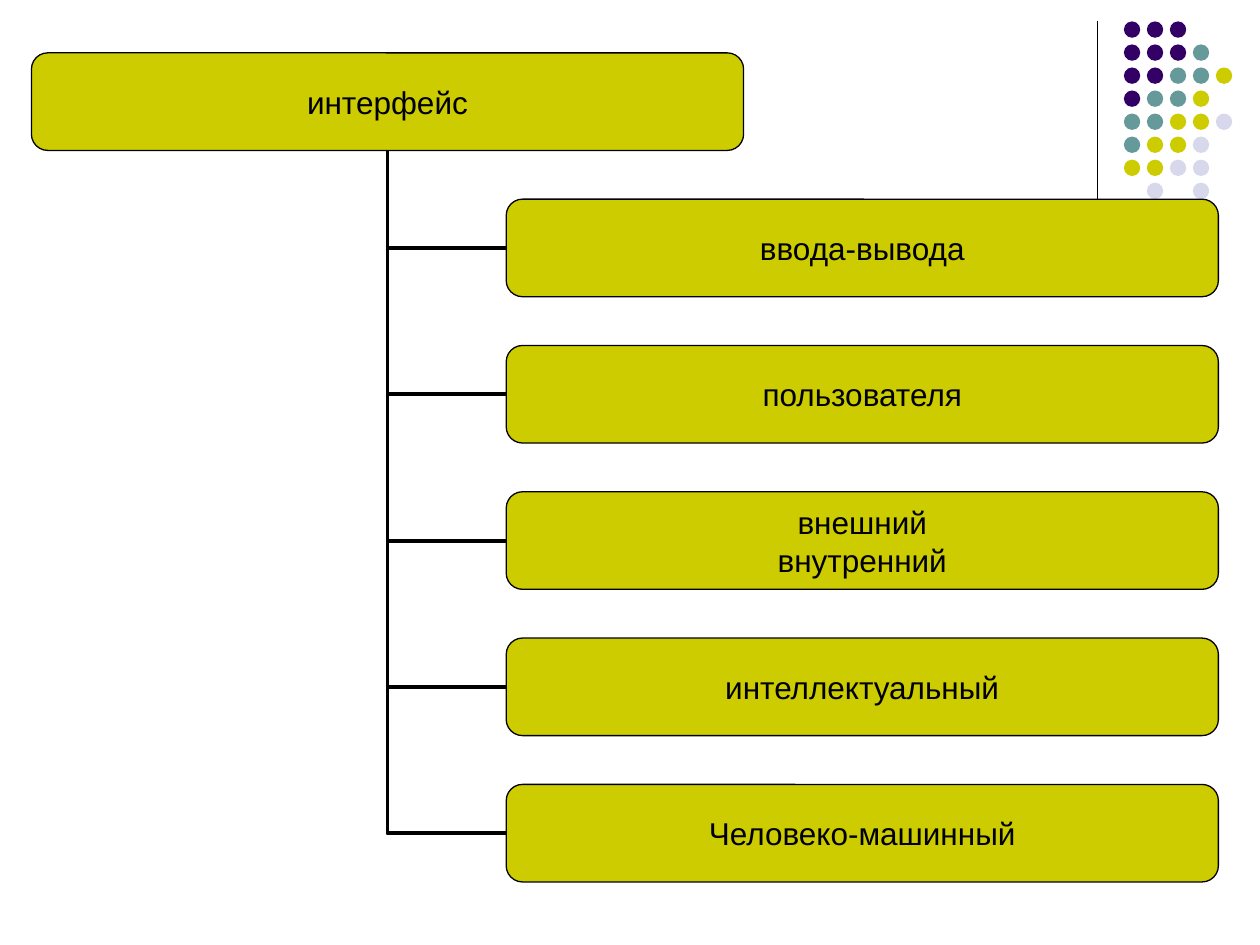
from dataclasses import dataclass

from pptx import Presentation
from pptx.dml.color import RGBColor
from pptx.enum.shapes import MSO_CONNECTOR, MSO_SHAPE
from pptx.enum.text import MSO_ANCHOR, PP_ALIGN
from pptx.oxml.ns import qn
from pptx.oxml.xmlchemy import OxmlElement
from pptx.util import Inches, Pt


@dataclass(frozen=True)
class Theme:
    ink: RGBColor = RGBColor.from_string("000000")
    purple: RGBColor = RGBColor.from_string("330066")
    teal: RGBColor = RGBColor.from_string("669999")
    olive: RGBColor = RGBColor.from_string("CCCC00")
    lavender: RGBColor = RGBColor.from_string("D8D8EC")
    font: str = "Arial"
    label: Pt = Pt(18)
    outline: Pt = Pt(0.75)
    branch: Pt = Pt(2.25)


THEME = Theme()
DOT_ROWS = ["PPP", "PPPT", "PPTTO", "PTTO", "TTOOL", "TOOL", "OOLL", " L L"]
DOT_COLORS = {"P": THEME.purple, "T": THEME.teal, "O": THEME.olive, "L": THEME.lavender}
ROOT = "интерфейс"
KINDS = [
    "ввода-вывода",
    "пользователя",
    "внешний\nвнутренний",
    "интеллектуальный",
    "Человеко-машинный",
]


def style_connector(connector, width):
    connector.line.color.rgb = THEME.ink
    connector.line.width = width
    connector._element.spPr.append(OxmlElement("a:effectLst"))


def add_divider(slide, left, top, height):
    divider = slide.shapes.add_connector(
        MSO_CONNECTOR.STRAIGHT, left, top, left, top + height)
    style_connector(divider, THEME.outline)


def add_dots(slide, left, top, width, height):
    size = Inches(0.13)
    column_step = (width - size) / (max(map(len, DOT_ROWS)) - 1)
    row_step = (height - size) / (len(DOT_ROWS) - 1)
    for row, codes in enumerate(DOT_ROWS):
        for column, code in enumerate(codes):
            if code == " ":
                continue
            dot = slide.shapes.add_shape(
                MSO_SHAPE.OVAL, round(left + column * column_step),
                round(top + row * row_step), size, size)
            dot.shadow.inherit = False
            dot.fill.solid()
            dot.fill.fore_color.rgb = DOT_COLORS[code]
            dot.line.fill.background()


def add_node(slide, label, left, top, width, height):
    node = slide.shapes.add_shape(
        MSO_SHAPE.ROUNDED_RECTANGLE, left, top, width, height)
    node.shadow.inherit = False
    node.fill.solid()
    node.fill.fore_color.rgb = THEME.olive
    node.line.color.rgb = THEME.ink
    node.line.width = THEME.outline
    frame = node.text_frame
    frame.margin_left = frame.margin_right = 0
    frame.margin_top = frame.margin_bottom = 0
    frame.vertical_anchor = MSO_ANCHOR.MIDDLE
    frame.word_wrap = False
    frame.text = label
    for paragraph in frame.paragraphs:
        paragraph.alignment = PP_ALIGN.CENTER
        paragraph.font.name = THEME.font
        paragraph.font.size = THEME.label
        paragraph.font.color.rgb = THEME.ink
    return node


def add_branch(slide, child, parent):
    branch = slide.shapes.add_connector(MSO_CONNECTOR.ELBOW, 0, 0, 0, 0)
    branch.begin_connect(child, 1)
    branch.end_connect(parent, 2)
    branch._element.spPr.find(qn("a:prstGeom")).set("prst", "bentConnector2")
    style_connector(branch, THEME.branch)


def add_tree(slide, left, top, width, height):
    node_width = round(width * 0.6)
    node_height = round(height / (1 + 1.5 * len(KINDS)))
    root = add_node(slide, ROOT, left, top, node_width, node_height)
    for level, kind in enumerate(KINDS, start=1):
        child = add_node(
            slide, kind, left + width - node_width,
            round(top + level * 1.5 * node_height), node_width, node_height)
        add_branch(slide, child, root)


def main():
    presentation = Presentation()
    presentation.slide_width = Inches(10)
    presentation.slide_height = Inches(7.5)
    slide = presentation.slides.add_slide(presentation.slide_layouts[6])
    add_divider(slide, Inches(8.71), Inches(0.17), Inches(1.66))
    add_dots(slide, Inches(8.92), Inches(0.17), Inches(0.86), Inches(1.41))
    add_tree(slide, Inches(0.25), Inches(0.42), Inches(9.42), Inches(6.58))
    presentation.save("out.pptx")


if __name__ == "__main__":
    main()
